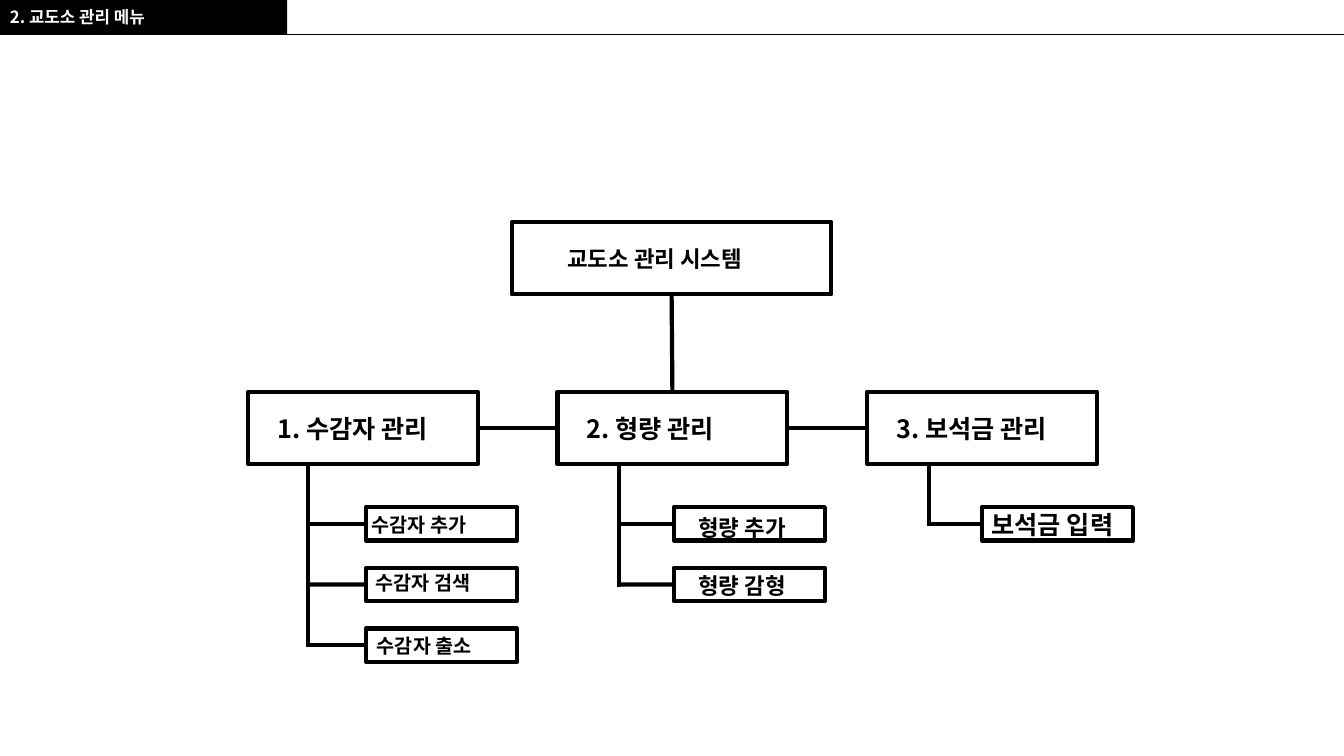
from lxml.etree import SubElement
from pptx import Presentation
from pptx.dml.color import RGBColor
from pptx.enum.shapes import MSO_CONNECTOR as LineKind, MSO_SHAPE as Shape
from pptx.enum.text import MSO_AUTO_SIZE as AutoSize
from pptx.oxml.ns import qn
from pptx.util import Cm, Pt

COLORS = {"ink": "000000", "paper": "FFFFFF"}
FONT = "Noto Sans CJK KR"

deck = Presentation()
deck.slide_width, deck.slide_height = Cm(33.87), Cm(19.05)
page = deck.slides.add_slide(deck.slide_layouts[6])


def add_label(text, left, top, width, height, size, color="ink"):
    box = page.shapes.add_textbox(Cm(left), Cm(top), Cm(width), Cm(height))
    frame = box.text_frame
    frame.word_wrap = True
    frame.auto_size = AutoSize.SHAPE_TO_FIT_TEXT
    para = frame.paragraphs[0]
    para.text = text
    para.font.size = Pt(size)
    para.font.bold = True
    para.font.color.rgb = RGBColor.from_string(COLORS[color])
    para.font.name = FONT
    SubElement(para.font._element, qn("a:ea"), typeface=FONT)
    return para


def add_line(x1, y1, x2, y2, weight=3):
    line = page.shapes.add_connector(
        LineKind.STRAIGHT, Cm(x1), Cm(y1), Cm(x2), Cm(y2))
    line.line.color.rgb = RGBColor.from_string(COLORS["ink"])
    line.line.width = Pt(weight)
    SubElement(line._element.spPr, qn("a:effectLst"))
    return line


header = page.shapes.add_shape(Shape.RECTANGLE, 0, 0, Cm(7.24), Cm(0.88))
header.shadow.inherit = False
header.fill.solid()
header.fill.fore_color.rgb = RGBColor.from_string(COLORS["ink"])
header.line.fill.background()
add_line(7.01, 0.87, 33.87, 0.87, 0.5)
title = add_label("2. 교도소 관리 메뉴", 0, 0.1, 7.24, 0.81, 12, "paper")
title.line_spacing = 0.9

SECTION_TOP, SECTION_WIDTH, SECTION_HEIGHT = 9.87, 5.79, 1.83
CHILD_TOP, CHILD_STEP, CHILD_WIDTH, CHILD_HEIGHT = 12.78, 1.53, 3.81, 0.84

sections = [
    ("1. 수감자 관리", 14, [("수감자 추가", 9.12, 12.8),
                       ("수감자 검색", 9.22, 14.25),
                       ("수감자 출소", 9.25, 15.85)]),
    ("2. 형량 관리", 16, [("형량 추가", 17.35, 12.83),
                      ("형량 감형", 17.35, 14.3)]),
    ("3. 보석금 관리", 18, [("보석금 입력", 24.74, 12.7)]),
]

frames = [(12.9, 5.59, 8.05, SECTION_HEIGHT)]
for column, (name, size, children) in enumerate(sections):
    frames.append((6.25 + 7.8 * column, SECTION_TOP,
                   SECTION_WIDTH, SECTION_HEIGHT))
for column, (name, size, children) in enumerate(sections):
    for row in range(len(children)):
        frames.append((9.22 + 7.76 * column, CHILD_TOP + CHILD_STEP * row,
                       CHILD_WIDTH, CHILD_HEIGHT))

outlines = []
for frame in frames:
    outline = page.shapes.add_shape(Shape.RECTANGLE, *map(Cm, frame))
    outline.shadow.inherit = False
    outline.fill.background()
    outline.line.color.rgb = RGBColor.from_string(COLORS["ink"])
    outline.line.width = Pt(3)
    outlines.append(outline)
root, section_boxes, child_boxes = outlines[0], outlines[1:4], iter(outlines[4:])

joins = [(root, 2, section_boxes[1], 0),
         (section_boxes[0], 3, section_boxes[1], 1),
         (section_boxes[1], 3, section_boxes[2], 1)]
for start, start_side, end, end_side in joins:
    link = add_line(0, 0, 1, 1)
    link.begin_connect(start, start_side)
    link.end_connect(end, end_side)

add_label("교도소 관리 시스템", 14.05, 6.05, 6.35, 0.94, 16)
for column, (name, size, children) in enumerate(sections):
    add_label(name, 6.74 + 7.8 * column, 10.29, 5.56, 1.02, 18)
    trunk = 7.77 + 7.82 * column
    for row, (text, left, top) in enumerate(children):
        middle = CHILD_TOP + CHILD_STEP * row + CHILD_HEIGHT / 2
        branch = add_line(trunk, middle, trunk + 1.4, middle)
        branch.end_connect(next(child_boxes), 1)
        add_label(text, left, top, 4.5, 0.9, size)
    add_line(trunk, SECTION_TOP + SECTION_HEIGHT, trunk, middle + 0.05)

deck.save("out.pptx")
